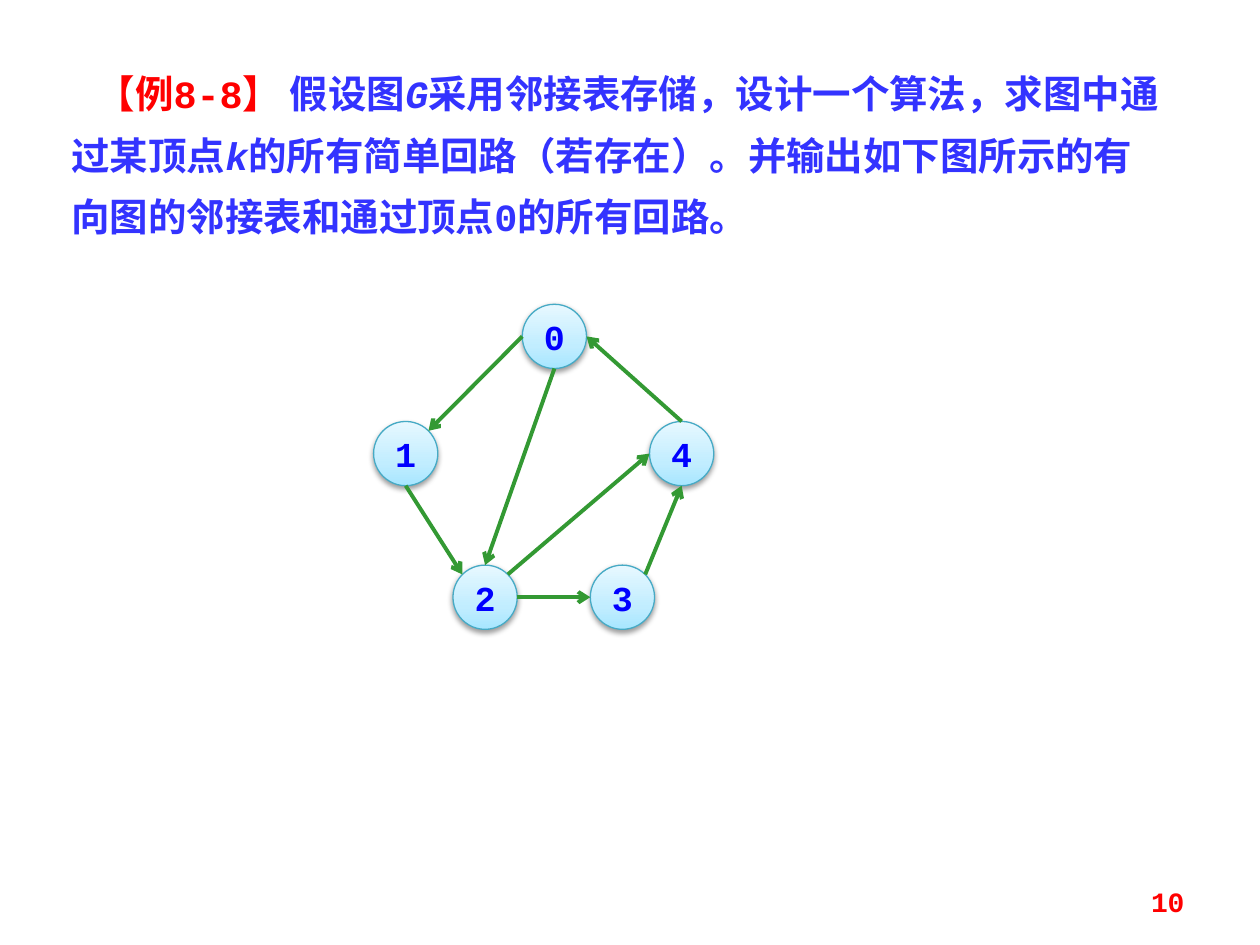
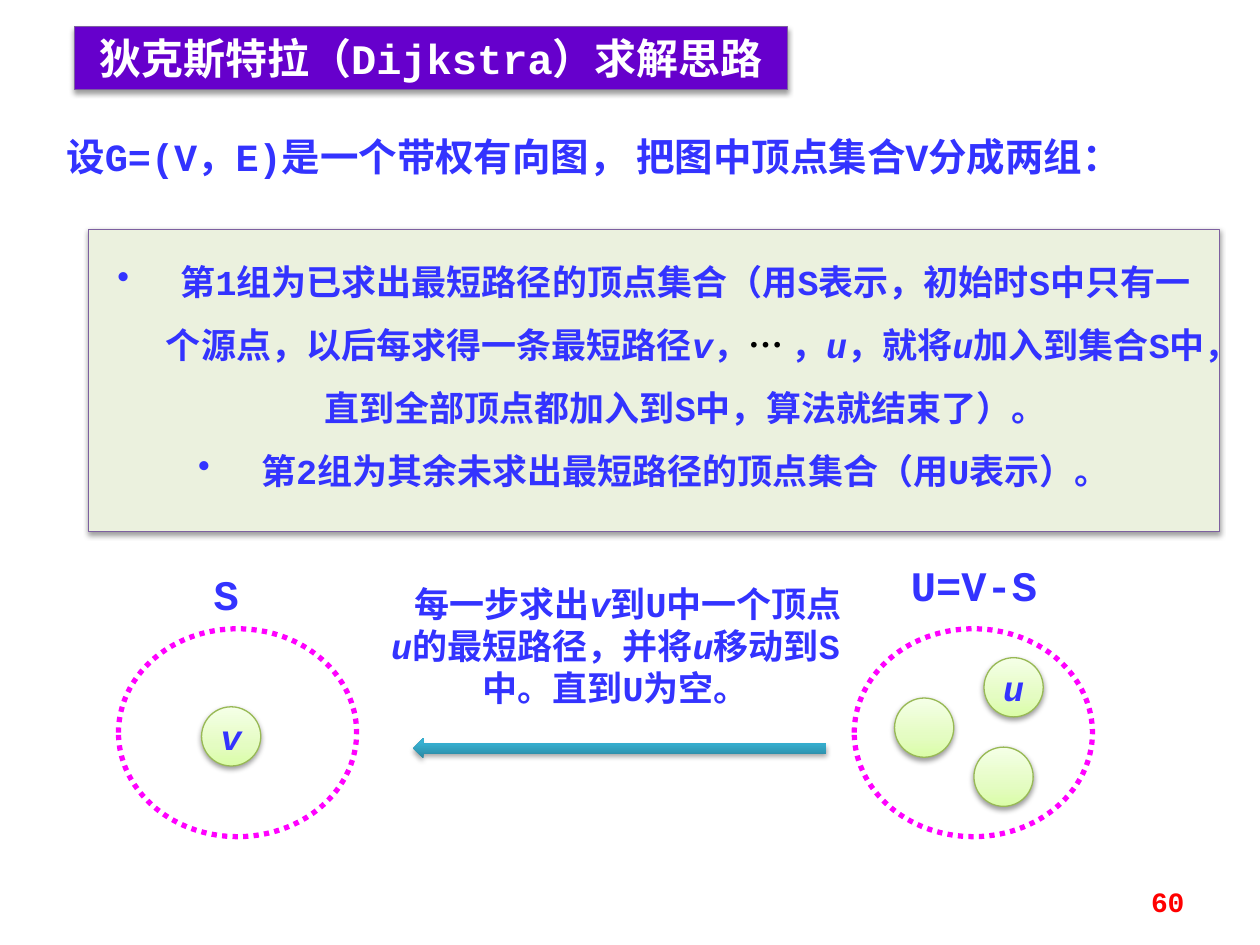
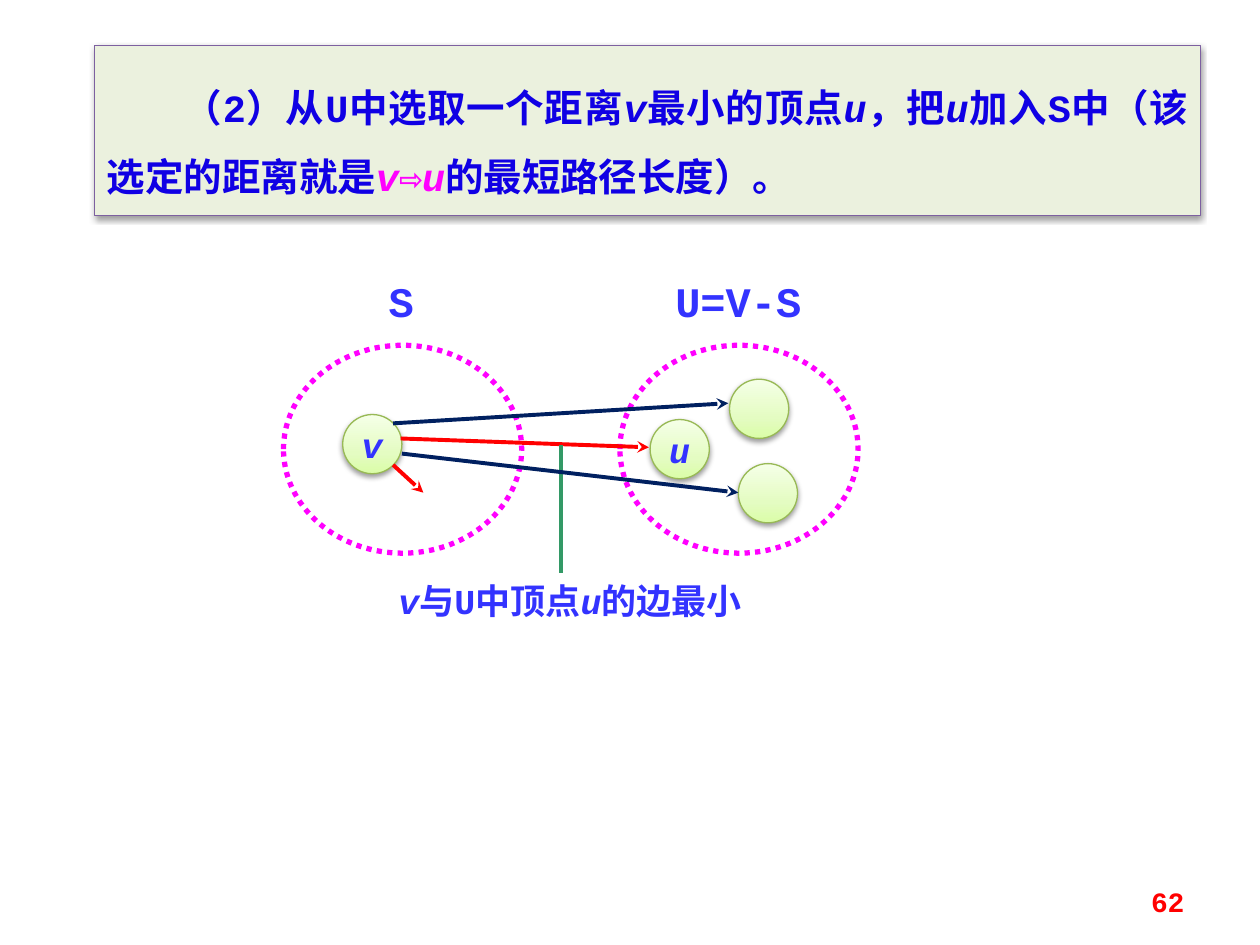
from lxml import etree
from pptx import Presentation
from pptx.dml.color import RGBColor
from pptx.enum.dml import MSO_LINE
from pptx.enum.shapes import MSO_CONNECTOR, MSO_SHAPE
from pptx.enum.text import MSO_ANCHOR, MSO_AUTO_SIZE, PP_ALIGN
from pptx.oxml.ns import qn
from pptx.util import Inches, Pt

OVAL, RECTANGLE, LEFT_ARROW = MSO_SHAPE.OVAL, MSO_SHAPE.RECTANGLE, MSO_SHAPE.LEFT_ARROW
STRAIGHT = MSO_CONNECTOR.STRAIGHT
DOTTED = MSO_LINE.ROUND_DOT
TOP, MIDDLE = MSO_ANCHOR.TOP, MSO_ANCHOR.MIDDLE
NO_FIT = MSO_AUTO_SIZE.NONE
LEFT, CENTER, RIGHT, JUSTIFY = PP_ALIGN.LEFT, PP_ALIGN.CENTER, PP_ALIGN.RIGHT, PP_ALIGN.JUSTIFY
TITLE_ONLY, BLANK = 5, 6

FONT = "Courier New"
BLUE, NODE_BLUE, DEEP_BLUE, NAVY = "3333FF", "0000FF", "1000E4", "002060"
RED, MAGENTA, BLACK, WHITE = "FF0000", "FF00FF", "000000", "FFFFFF"
PURPLE, FRAME, PANEL = "6600CC", "7D60A0", "EBF1DE"
GREEN, TEAL_GREEN = "339933", "339966"
SKY_EDGE, LIME_EDGE = "46AAC5", "98B955"
SKY = [(0, "A7E6FF"), (35, "C1EDFF"), (100, "E7F8FF")]
LIME = [(0, "DAFDA7"), (35, "E4FCC2"), (100, "F5FFE7")]
TEAL = [(0, "2A88A2"), (80, "37B1D2"), (100, "34B4D6")]

# Graph nodes: centre of each; ports: offsets from the centre in radii
NODE_SIZE = 0.51
NODES = {"0": (4.4, 2.67), "3": (4.94, 4.74), "2": (3.85, 4.74),
         "4": (5.41, 3.6), "1": (3.22, 3.6)}
PORTS = {"top": (0, -1), "left": (-1, 0), "bottom": (0, 1), "right": (1, 0),
         "top left": (-0.71, -0.71), "top right": (0.71, -0.71)}
EDGES = [("0", "left", "1", "top right"), ("1", "bottom", "2", "top left"),
         ("2", "right", "3", "left"), ("3", "top right", "4", "bottom"),
         ("4", "top", "0", "right"), ("0", "bottom", "2", "top"),
         ("2", "top right", "4", "left")]
VERTEX_SIZE = 0.47


def color(value):
    return RGBColor.from_string(value)


def add_child(parent, tag, **attributes):
    return etree.SubElement(parent, qn(tag), **attributes)


# Text
def write_paragraph(para, pieces, size, bold=True, align=LEFT, spacing=None, indent=0):
    """Pieces are (text, colour); text between asterisks is italic."""
    if indent:
        para._p.get_or_add_pPr().set("indent", str(Inches(indent)))
    para.alignment = align
    if spacing:
        para.line_spacing = spacing
    for text, tone in pieces:
        for index, part in enumerate(text.split("*")):
            if part:
                span = para.add_run()
                span.text = part
                span.font.name, span.font.size = FONT, Pt(size)
                span.font.bold, span.font.italic = bold, index % 2 == 1
                span.font.color.rgb = color(tone)


def add_bullet(para):
    properties = para._p.get_or_add_pPr()
    properties.set("marL", str(Inches(0.5)))
    add_child(properties, "a:buChar", char="•")


def set_frame(box, margins=(0.1, 0.05), anchor=TOP, wrap=True):
    frame = box.text_frame
    frame.word_wrap, frame.vertical_anchor = wrap, anchor
    frame.auto_size = NO_FIT
    frame.margin_left = frame.margin_right = Inches(margins[0])
    frame.margin_top = frame.margin_bottom = Inches(margins[1])
    return frame


def add_text(page, place, pieces, size, margins=(0.1, 0.05), anchor=TOP, **style):
    box = page.shapes.add_textbox(*map(Inches, place))
    frame = set_frame(box, margins, anchor)
    write_paragraph(frame.paragraphs[0], pieces, size, **style)


def add_page_number(page, number):
    add_text(page, (7.17, 6.95, 2.33, 0.4), [(number, RED)], 16, anchor=MIDDLE, align=RIGHT)


# Shapes
def add_shadow(shape, alpha=38, distance=1.6):
    shape.shadow.inherit = False
    effects = shape._element.spPr.find(qn("a:effectLst"))
    shadow = add_child(effects, "a:outerShdw", blurRad=str(Pt(3.1)), dist=str(Pt(distance)),
                       dir="5400000", rotWithShape="0")
    tone = add_child(shadow, "a:srgbClr", val=BLACK)
    add_child(tone, "a:alpha", val=str(alpha * 1000))


def paint(shape, fill, edge):
    if isinstance(fill, list):
        shape.fill.gradient()
        gradient = shape._element.spPr.find(qn("a:gradFill"))
        for child in list(gradient):
            gradient.remove(child)
        stops = add_child(gradient, "a:gsLst")
        for position, tone in fill:
            stop = add_child(stops, "a:gs", pos=str(position * 1000))
            add_child(stop, "a:srgbClr", val=tone)
        add_child(gradient, "a:lin", ang="16200000", scaled="0")
    else:
        shape.fill.solid()
        shape.fill.fore_color.rgb = color(fill)
    if edge:
        shape.line.color.rgb = color(edge)
        shape.line.width = Pt(0.75)
    else:
        shape.line.fill.background()


def add_circle(page, left, top, size, fill, edge, label="", tone=BLUE):
    circle = page.shapes.add_shape(OVAL, *map(Inches, (left, top, size, size)))
    paint(circle, fill, edge)
    add_shadow(circle)
    if label:
        frame = set_frame(circle, anchor=MIDDLE, wrap=False)
        write_paragraph(frame.paragraphs[0], [(label, tone)], 20, align=CENTER)


def add_vertex(page, left, top, label=""):
    add_circle(page, left, top, VERTEX_SIZE, LIME, LIME_EDGE, label)


def add_vertex_set(page, left, top, name, label_place):
    ring = page.shapes.add_shape(OVAL, *map(Inches, (left, top, 1.89, 1.65)))
    ring.fill.background()
    ring.line.color.rgb = color(MAGENTA)
    ring.line.width, ring.line.dash_style = Pt(3), DOTTED
    ring.shadow.inherit = False
    add_text(page, label_place, [(name, BLUE)], 24, margins=(0, 0), align=CENTER)


def add_panel(page, place, margin):
    panel = page.shapes.add_shape(RECTANGLE, *map(Inches, place))
    paint(panel, PANEL, FRAME)
    add_shadow(panel)
    return set_frame(panel, (0.1, margin))


def add_line(page, start, end, tone, head=None):
    line = page.shapes.add_connector(STRAIGHT, *map(Inches, (*start, *end)))
    line.line.color.rgb = color(tone)
    line.line.width = Pt(2.25)
    if head:
        add_child(line.line._get_or_add_ln(), "a:tailEnd", type=head)
    add_child(line._element.spPr, "a:effectLst")


def port(node, side):
    return [centre + offset * NODE_SIZE / 2 for centre, offset in zip(NODES[node], PORTS[side])]


# Slides
def build_cycle_example(deck):
    page = deck.slides.add_slide(deck.slide_layouts[BLANK])
    add_text(page, (0.47, 0.39, 8.83, 1.57), [
        ("【例8-8】 ", RED),
        ("假设图*G*采用邻接表存储，设计一个算法，求图中通过某顶点*k*的所有简单回路（若存在）。"
         "并输出如下图所示的有向图的邻接表和通过顶点0的所有回路。", BLUE),
    ], 22, spacing=Pt(35), indent=0.2)
    for name, (x, y) in NODES.items():
        add_circle(page, x - NODE_SIZE / 2, y - NODE_SIZE / 2, NODE_SIZE,
                   SKY, SKY_EDGE, name, NODE_BLUE)
    for start, start_side, end, end_side in EDGES:
        add_line(page, port(start, start_side), port(end, end_side), GREEN, "arrow")
    add_page_number(page, "10")


def build_dijkstra_idea(deck):
    page = deck.slides.add_slide(deck.slide_layouts[TITLE_ONLY])
    title = page.shapes.title
    title.left, title.top, title.width, title.height = map(Inches, (0.59, 0.21, 5.66, 0.5))
    paint(title, PURPLE, FRAME)
    add_shadow(title)
    frame = set_frame(title, wrap=False)
    write_paragraph(frame.paragraphs[0], [("狄克斯特拉（Dijkstra）求解思路", WHITE)], 24, align=CENTER)

    add_text(page, (0.43, 1.01, 8.87, 0.47),
             [("设G=(V，E)是一个带权有向图， 把图中顶点集合V分成两组：", BLUE)], 22, align=JUSTIFY)

    # The two groups of vertices
    groups = [
        [("第1组为已求出最短路径的顶点集合（用S表示，初始时S中只有一个源点，"
          "以后每求得一条最短路径*v*，", BLUE), ("… ", BLACK),
         ("，*u*，就将*u*加入到集合S中，直到全部顶点都加入到S中，算法就结束了）。", BLUE)],
        [("第2组为其余未求出最短路径的顶点集合（用U表示）。", BLUE)],
    ]
    frame = add_panel(page, (0.7, 1.82, 8.98, 2.4), 0.08)
    for index, pieces in enumerate(groups):
        para = frame.add_paragraph() if index else frame.paragraphs[0]
        add_bullet(para)
        write_paragraph(para, pieces, 20, align=CENTER, spacing=1.5, indent=-0.5)

    # Moving a vertex from U to S
    add_vertex_set(page, 0.94, 4.99, "S", (1.48, 4.51, 0.63, 0.4))
    add_vertex_set(page, 6.78, 4.99, "U=V-S", (7.18, 4.44, 1.1, 0.4))
    for vertex in [(1.6, 5.61, "*v*"), (7.81, 5.22, "*u*"), (7.73, 5.93), (7.1, 5.54)]:
        add_vertex(page, *vertex)
    add_text(page, (2.97, 4.57, 3.83, 1.11),
             [("每一步求出*v*到U中一个顶点*u*的最短路径，并将*u*移动到S中。直到U为空。", BLUE)],
             20, align=CENTER, indent=0.2)
    arrow = page.shapes.add_shape(LEFT_ARROW, *map(Inches, (3.28, 5.86, 3.28, 0.16)))
    paint(arrow, TEAL, None)
    add_shadow(arrow, 35, 1.8)
    add_page_number(page, "60")


def build_nearest_vertex(deck):
    page = deck.slides.add_slide(deck.slide_layouts[BLANK])
    add_vertex_set(page, 4.92, 2.74, "U=V-S", (5.31, 2.19, 1.1, 0.4))
    add_vertex_set(page, 2.25, 2.74, "S", (2.87, 2.19, 0.63, 0.4))
    frame = add_panel(page, (0.75, 0.36, 8.78, 1.35), 0.12)
    write_paragraph(frame.paragraphs[0], [
        ("（2）从U中选取一个距离*v*最小的顶点*u*，把*u*加入S中（该选定的距离就是", DEEP_BLUE),
        ("*v*⇨*u*", MAGENTA), ("的最短路径长度）。", DEEP_BLUE),
    ], 22, align=JUSTIFY, spacing=1.5, indent=0.61)
    for vertex in [(2.72, 3.29, "*v*"), (5.16, 3.33, "*u*"), (5.86, 3.68), (5.79, 3.01)]:
        add_vertex(page, *vertex)

    # Edges leaving v, and the note on the shortest one
    add_line(page, (3.18, 3.48), (5.15, 3.55), RED, "stealth")
    add_text(page, (3.03, 4.55, 2.99, 0.43), [("*v*与U中顶点*u*的边最小", BLUE)], 20, align=CENTER)
    add_line(page, (4.45, 3.53), (4.45, 4.55), TEAL_GREEN)
    add_line(page, (3.12, 3.69), (3.36, 3.91), RED, "stealth")
    add_line(page, (3.12, 3.36), (5.78, 3.2), NAVY, "stealth")
    add_line(page, (3.19, 3.6), (5.86, 3.91), NAVY, "stealth")
    add_page_number(page, "62")


def main():
    deck = Presentation()
    deck.slide_width, deck.slide_height = Inches(10), Inches(7.5)
    build_cycle_example(deck)
    build_dijkstra_idea(deck)
    build_nearest_vertex(deck)
    deck.save("out.pptx")


if __name__ == "__main__":
    main()
